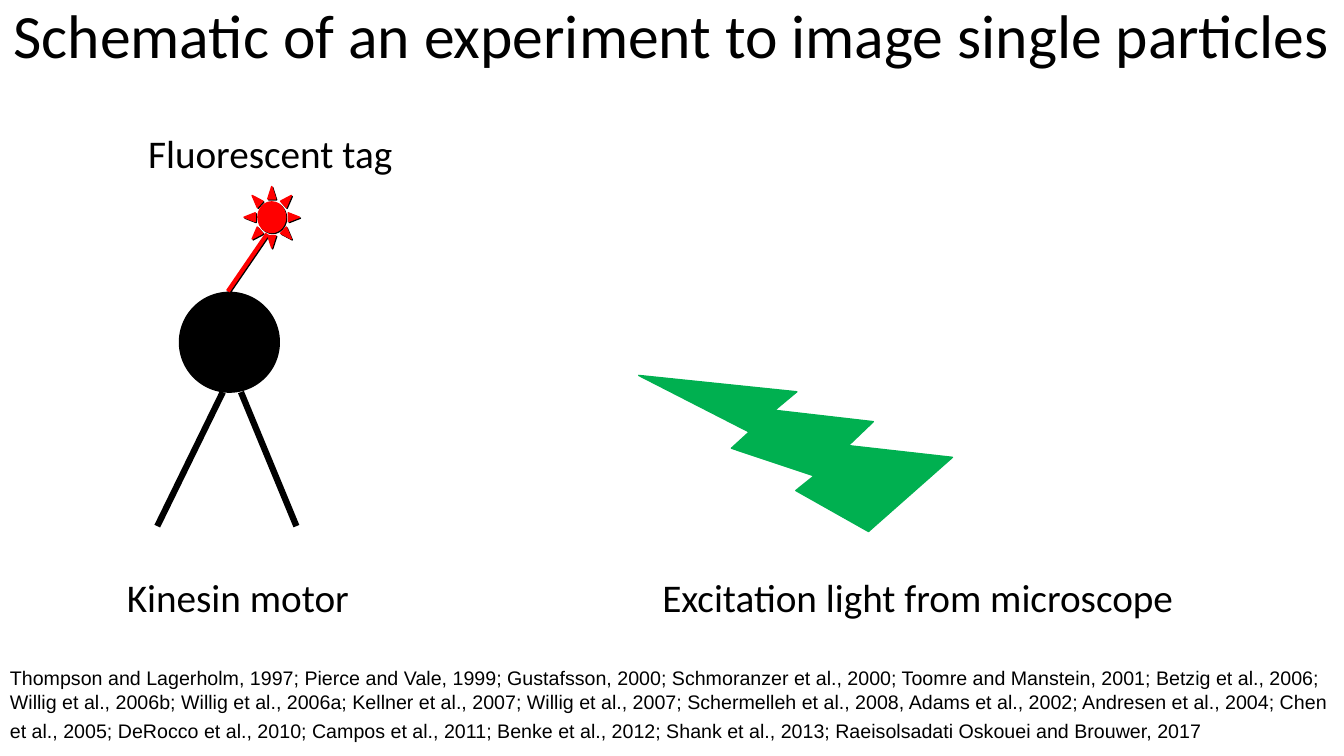
from dataclasses import dataclass

from lxml.etree import SubElement
from pptx import Presentation
from pptx.dml.color import RGBColor
from pptx.enum.shapes import MSO_CONNECTOR, MSO_SHAPE
from pptx.enum.text import MSO_ANCHOR, MSO_AUTO_SIZE, PP_ALIGN
from pptx.oxml.ns import qn
from pptx.util import Pt

PX = 9144  # EMU per px, 100 px to the inch


@dataclass(frozen=True)
class Theme:
    black: RGBColor = RGBColor(0x00, 0x00, 0x00)
    red: RGBColor = RGBColor(0xFF, 0x00, 0x00)
    green: RGBColor = RGBColor(0x00, 0xB0, 0x50)
    main_font: str = "Calibri"
    reference_font: str = "Arial"
    title_size: int = 44
    label_size: int = 28
    reference_size: int = 14
    reference_end_size: int = 18
    outline: int = 1
    linker_width: int = 3
    leg_width: float = 4.5


THEME = Theme()

REFERENCES = (
    "Thompson and Lagerholm, 1997; Pierce and Vale, 1999; Gustafsson, 2000; "
    "Schmoranzer et al., 2000; Toomre and Manstein, 2001; Betzig et al., 2006; "
    "Willig et al., 2006b; Willig et al., 2006a; Kellner et al., 2007; "
    "Willig et al., 2007; Schermelleh et al., 2008, Adams et al., 2002; "
    "Andresen et al., 2004; Chen et al., 2005; DeRocco et al., 2010; "
    "Campos et al., 2011; Benke et al., 2012; Shank et al., 2013; "
    "Raeisolsadati Oskouei and Brouwer, 2017"
)


def scaled(*lengths):
    return [length * PX for length in lengths]


def add_run(paragraph, text, size, font_name):
    run = paragraph.add_run()
    run.text = text
    run.font.size = Pt(size)
    run.font.name = font_name
    run.font.color.rgb = THEME.black


def add_title(slide, text):
    title = slide.shapes.title
    title.left, title.top, title.width, title.height = scaled(0, 0, 1333, 115)
    frame = title.text_frame
    frame.word_wrap = True
    frame.auto_size = MSO_AUTO_SIZE.NONE
    frame.vertical_anchor = MSO_ANCHOR.TOP
    paragraph = frame.paragraphs[0]
    paragraph.alignment = PP_ALIGN.CENTER
    paragraph.line_spacing = 0.9
    add_run(paragraph, text, THEME.title_size, THEME.main_font)


def add_text_box(slide, box, wrap):
    """Add an empty text box and return its first paragraph."""
    frame = slide.shapes.add_textbox(*scaled(*box)).text_frame
    frame.word_wrap = wrap
    frame.auto_size = MSO_AUTO_SIZE.SHAPE_TO_FIT_TEXT
    return frame.paragraphs[0]


def add_label(slide, text, box, wrap=False):
    paragraph = add_text_box(slide, box, wrap)
    add_run(paragraph, text, THEME.label_size, THEME.main_font)


def add_references(slide):
    paragraph = add_text_box(slide, (0, 656, 1333, 94), True)
    add_run(paragraph, REFERENCES, THEME.reference_size, THEME.reference_font)
    # The larger closing space sets the height of the last line.
    add_run(paragraph, " ", THEME.reference_end_size, THEME.reference_font)


def add_solid(shapes, preset, box, color, rotation=0):
    shape = shapes.add_shape(preset, *scaled(*box))
    shape.shadow.inherit = False
    shape.fill.solid()
    shape.fill.fore_color.rgb = color
    shape.line.color.rgb = color
    shape.line.width = Pt(THEME.outline)
    shape.rotation = rotation


def add_line(shapes, start, end, color, width):
    connector = shapes.add_connector(
        MSO_CONNECTOR.STRAIGHT, *scaled(*start, *end))
    connector.line.color.rgb = color
    connector.line.width = Pt(width)
    SubElement(connector._element.spPr, qn("a:effectLst"))


def add_kinesin(slide):
    shapes = slide.shapes.add_group_shape().shapes
    add_solid(shapes, MSO_SHAPE.OVAL, (178, 290, 99, 99), THEME.black)
    for hip, foot in ((221, 156), (239, 294)):
        add_line(shapes, (hip, 389), (foot, 522), THEME.black, THEME.leg_width)


def add_fluorescent_tag(slide, left, top, color):
    """Add a sun and the linker running down from it to the motor."""
    shapes = slide.shapes.add_group_shape().shapes
    add_line(shapes, (left, top + 104), (left + 39, top + 47),
             color, THEME.linker_width)
    add_solid(shapes, MSO_SHAPE.SUN, (left + 16, top, 55, 61), color)


def main():
    presentation = Presentation()
    presentation.slide_width, presentation.slide_height = scaled(1333, 750)
    slide = presentation.slides.add_slide(presentation.slide_layouts[5])

    add_title(slide, "Schematic of an experiment to image single particles")
    add_kinesin(slide)
    add_fluorescent_tag(slide, 227, 186, THEME.black)
    add_label(slide, "Kinesin motor", (116, 564, 243, 57))
    add_label(slide, "Fluorescent tag", (137, 123, 278, 57), wrap=True)
    add_solid(slide.shapes, MSO_SHAPE.LIGHTNING_BOLT, (664, 320, 264, 224),
              THEME.green, rotation=159.8)
    add_label(slide, "Excitation light from microscope", (647, 564, 532, 57))
    add_fluorescent_tag(slide, 226, 185, THEME.red)
    add_references(slide)

    presentation.save("out.pptx")


if __name__ == "__main__":
    main()
